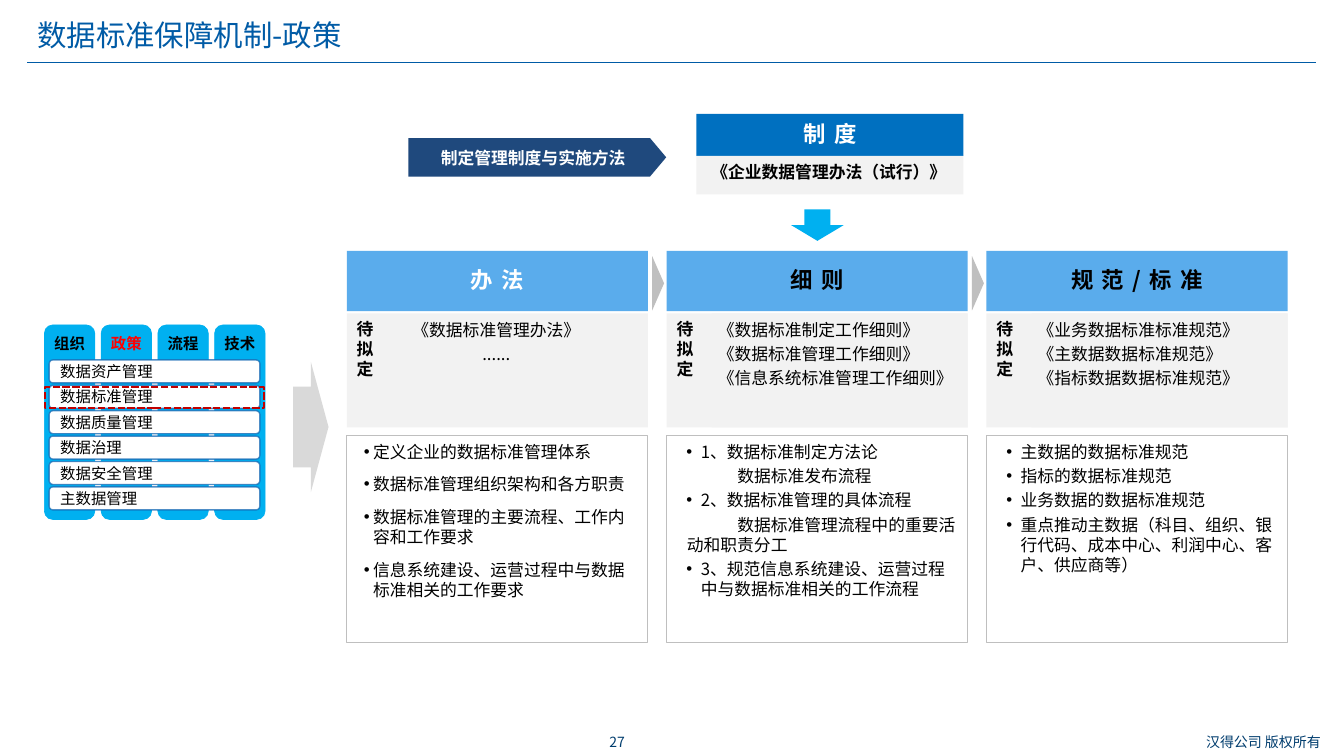
from dataclasses import dataclass
from typing import Any, Optional

from lxml import etree
from pptx import Presentation
from pptx import util as u
from pptx.dml import color as dml
from pptx.enum import dml as line_styles
from pptx.enum import shapes, text
from pptx.oxml import ns

FONT = "Noto Sans CJK SC"
COLORS = {
    "title": "005BA6", "footer": "003D6E", "black": "000000", "white": "FFFFFF",
    "red": "FF0000", "header": "5AACEC", "policy": "0070C0", "panel": "F2F2F2",
    "border": "BFBFBF", "arrow": "D9D9D9", "cyan": "00B0F0", "navy": "1F497D",
    "row": "1368B3", "focus": "C00000",
}
CENTER, LEFT = text.PP_ALIGN.CENTER, text.PP_ALIGN.LEFT
TOP, MIDDLE = text.MSO_ANCHOR.TOP, text.MSO_ANCHOR.MIDDLE
SHAPE = shapes.MSO_SHAPE
SLIM = (0.08, 0.05, 0.08, 0.05)
CARD = (0.15, 0.15, 0.2, 0.23)
PILLAR = (0.13, 0.1, 0.13, 0.13)
PLAIN = (0.25, 0.13, 0.25, 0.13)


@dataclass
class Style:
    size: float = 12
    color: str = "black"
    bold: bool = False
    align: Any = LEFT
    anchor: Any = TOP
    inset: tuple = PLAIN
    leading: float = 1.2
    before: float = 0
    after: float = 0
    tracking: int = 0


@dataclass
class Item:
    words: str
    margin: float = 0.71
    indent: float = -0.36
    bullet: bool = True


@dataclass
class Column:
    heading: str
    heading_color: str
    documents: list
    documents_offset: float
    documents_align: Any
    items: list
    gap_before: float = 0


def rgb(name: str) -> dml.RGBColor:
    return dml.RGBColor.from_string(COLORS[name])


def write(box: Any, items: list, style: Style) -> None:
    """Fill a box with paragraphs; Item entries also carry bullet and indent."""
    frame = box.text_frame
    frame.word_wrap = True
    frame.auto_size = text.MSO_AUTO_SIZE.NONE
    frame.vertical_anchor = style.anchor
    (frame.margin_left, frame.margin_top,
     frame.margin_right, frame.margin_bottom) = map(u.Cm, style.inset)
    for number, item in enumerate(items):
        para = frame.add_paragraph() if number else frame.paragraphs[0]
        para.text = item.words if isinstance(item, Item) else item
        para.alignment = style.align
        para.line_spacing = u.Pt(style.size * style.leading)
        para.space_before = u.Pt(style.before if number else 0)
        para.space_after = u.Pt(style.after)
        if isinstance(item, Item):
            props = para._p.get_or_add_pPr()
            props.set("marL", str(u.Cm(item.margin)))
            props.set("indent", str(u.Cm(item.indent)))
            if item.bullet:
                etree.SubElement(props, ns.qn("a:buFont"), typeface="Arial")
                etree.SubElement(props, ns.qn("a:buChar"), char="•")
            else:
                etree.SubElement(props, ns.qn("a:buNone"))
        font = para.font
        font.size, font.bold, font.name = u.Pt(style.size), style.bold, FONT
        font.color.rgb = rgb(style.color)
        etree.SubElement(font._element, ns.qn("a:ea"), typeface=FONT)
        if style.tracking:
            font._element.set("spc", str(style.tracking * 100))


def place(box: Any, left: float, top: float, width: float, height: float) -> None:
    box.left, box.top, box.width, box.height = map(u.Cm, (left, top, width, height))


def draw(owner: Any, kind: Any, at: tuple, fill: Optional[str] = None,
         line: Optional[str] = None, weight: float = 0.75) -> Any:
    box = owner.shapes.add_shape(kind, *map(u.Cm, at))
    box.shadow.inherit = False
    if fill:
        box.fill.solid()
        box.fill.fore_color.rgb = rgb(fill)
    else:
        box.fill.background()
    if line:
        box.line.color.rgb = rgb(line)
        box.line.width = u.Pt(weight)
    else:
        box.line.fill.background()
    return box


def label(page: Any, at: tuple, words: str, style: Style) -> None:
    write(page.shapes.add_textbox(*map(u.Cm, at)), [words], style)


HEADING = dict(size=16, bold=True, align=CENTER, anchor=MIDDLE, inset=SLIM,
               leading=1.08, tracking=6)
COLUMNS = [
    Column("办法", "white", ["《数据标准管理办法》", "......"], 0, CENTER,
           [Item(words, 0.51, -0.23) for words in (
               "定义企业的数据标准管理体系",
               "数据标准管理组织架构和各方职责",
               "数据标准管理的主要流程、工作内容和工作要求",
               "信息系统建设、运营过程中与数据标准相关的工作要求")], 6),
    Column("细则", "black",
           ["《数据标准制定工作细则》", "《数据标准管理工作细则》",
            "《信息系统标准管理工作细则》"], 1.14, LEFT,
           [Item("1、数据标准制定方法论"),
            Item("数据标准发布流程", 0.36, 1.27, False),
            Item("2、数据标准管理的具体流程"),
            Item("数据标准管理流程中的重要活动和职责分工", 0.36, 1.27, False),
            Item("3、规范信息系统建设、运营过程中与数据标准相关的工作流程")]),
    Column("规范/标准", "black",
           ["《业务数据标准标准规范》", "《主数据数据标准规范》",
            "《指标数据数据标准规范》"], 1.14, LEFT,
           [Item("主数据的数据标准规范"), Item("指标的数据标准规范"),
            Item("业务数据的数据标准规范"),
            Item("重点推动主数据（科目、组织、银行代码、成本中心、利润中心、客户、供应商等）")]),
]
COLUMN_LEFT, COLUMN_STEP, COLUMN_WIDTH = 8.74, 8.06, 7.59
PILLARS = ["组织", "政策", "流程", "技术"]
ROWS = ["数据资产管理", "数据标准管理", "数据质量管理", "数据治理",
        "数据安全管理", "主数据管理"]


def draw_column(page: Any, column: Column, left: float, body: Any) -> None:
    header = draw(page, SHAPE.RECTANGLE, (left, 6.32, COLUMN_WIDTH, 1.52), "header")
    write(header, [column.heading], Style(color=column.heading_color, **HEADING))
    offset = column.documents_offset
    if offset:
        draw(page, SHAPE.RECTANGLE, (left, 7.9, COLUMN_WIDTH, 2.87), "panel")
    documents = draw(page, SHAPE.RECTANGLE,
                     (left + offset, 7.9, COLUMN_WIDTH - offset, 2.87), "panel")
    write(documents, column.documents,
          Style(align=column.documents_align, inset=CARD, after=3))
    label(page, (left, 7.9, 0.74, 1.8), "待拟定", Style(bold=True))
    place(body, left, 10.97, COLUMN_WIDTH, 5.23)
    body.line.color.rgb = rgb("border")
    body.line.width = u.Pt(0.75)
    write(body, column.items, Style(inset=CARD, before=column.gap_before, after=3))


def draw_matrix(page: Any) -> None:
    matrix = page.shapes.add_group_shape()
    for number, name in enumerate(PILLARS):
        pillar = draw(matrix, SHAPE.ROUNDED_RECTANGLE,
                      (1.12 + 1.43 * number, 8.19, 1.27, 4.9), "cyan", "cyan", 0.5)
        write(pillar, [name], Style(11, "red" if name == "政策" else "black", True,
                                    CENTER, inset=PILLAR, leading=15 / 11))
    for number, name in enumerate(ROWS):
        row = draw(matrix, SHAPE.ROUNDED_RECTANGLE,
                   (1.24, 9.07 + 0.64 * number, 5.31, 0.58), "white", "row", 1)
        tint = row.line.fill._xPr.find(".//" + ns.qn("a:srgbClr"))
        etree.SubElement(tint, ns.qn("a:alpha"), val="75000")
        write(row, [name], Style(11, anchor=MIDDLE))
    focus = draw(page, SHAPE.RECTANGLE, (1.14, 9.75, 5.51, 0.53), None, "focus", 1.75)
    focus.line.dash_style = line_styles.MSO_LINE.SQUARE_DOT


def main() -> None:
    deck = Presentation()
    deck.slide_width, deck.slide_height = u.Cm(33.87), u.Cm(19.05)
    page = deck.slides.add_slide(deck.slide_layouts.get_by_name("Comparison"))
    *bodies, spare = [box for box in page.placeholders if box.placeholder_format.idx]
    spare._element.getparent().remove(spare._element)

    # Title, rule and footer
    title = page.shapes.title
    place(title, 0.69, 0.38, 29.39, 1.07)
    write(title, ["数据标准保障机制-政策"], Style(21, "title", leading=1.08))
    rule = page.shapes.add_connector(shapes.MSO_CONNECTOR.STRAIGHT,
                                     *map(u.Cm, (0.69, 1.57, 33.17, 1.57)))
    rule.line.color.rgb = rgb("title")
    rule.line.width = u.Pt(0.75)
    etree.SubElement(rule._element.spPr, ns.qn("a:effectLst"))
    footer = Style(10, "footer", align=CENTER, anchor=MIDDLE)
    label(page, (14.66, 18.36, 1.78, 0.69), "27", footer)
    label(page, (29.82, 18.36, 4.04, 0.69), "汉得公司 版权所有", footer)

    # Policy on top
    method = draw(page, SHAPE.PENTAGON, (10.29, 3.48, 6.5, 0.97), "navy")
    method.adjustments[0] = 0.42
    write(method, ["制定管理制度与实施方法"],
          Style(color="white", bold=True, align=CENTER, anchor=MIDDLE))
    policy = draw(page, SHAPE.RECTANGLE, (17.55, 2.87, 6.73, 1.06), "policy")
    write(policy, ["制度"], Style(color="white", **HEADING))
    policy_name = draw(page, SHAPE.RECTANGLE, (17.55, 3.93, 6.73, 0.97), "panel")
    write(policy_name, ["《企业数据管理办法（试行）》"],
          Style(bold=True, align=CENTER, inset=CARD))
    draw(page, SHAPE.DOWN_ARROW, (19.94, 5.28, 1.32, 0.79), "cyan")

    # Three columns with the wedges between them
    for number, (column, body) in enumerate(zip(COLUMNS, bodies)):
        left = COLUMN_LEFT + COLUMN_STEP * number
        draw_column(page, column, left, body)
        if number:
            wedge = draw(page, SHAPE.ISOSCELES_TRIANGLE,
                         (left - 0.9, 6.99, 1.37, 0.3), "border")
            wedge.rotation = 90

    # Management matrix and its arrow
    arrow = draw(page, SHAPE.RIGHT_ARROW, (7.39, 9.12, 0.89, 3.28), "arrow")
    arrow.adjustments[0] = 0.62
    draw_matrix(page)
    deck.save("out.pptx")


if __name__ == "__main__":
    main()
